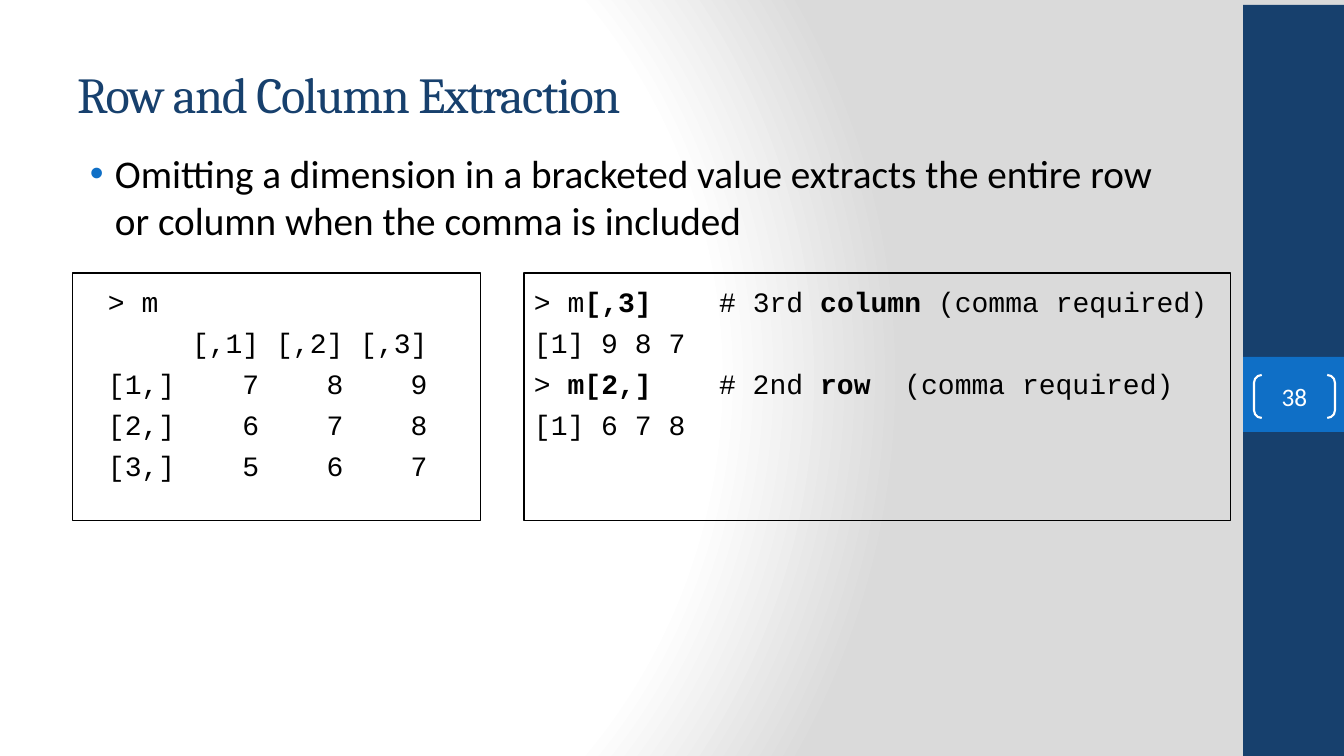
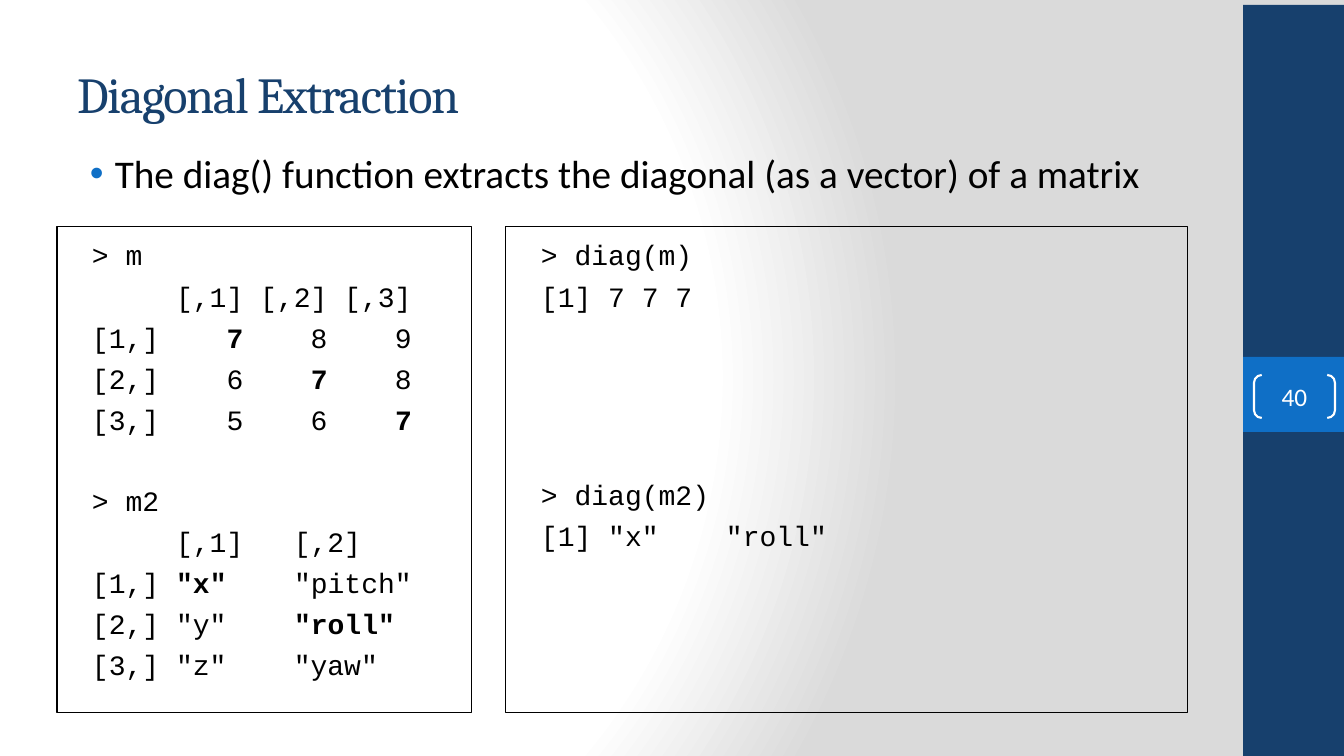
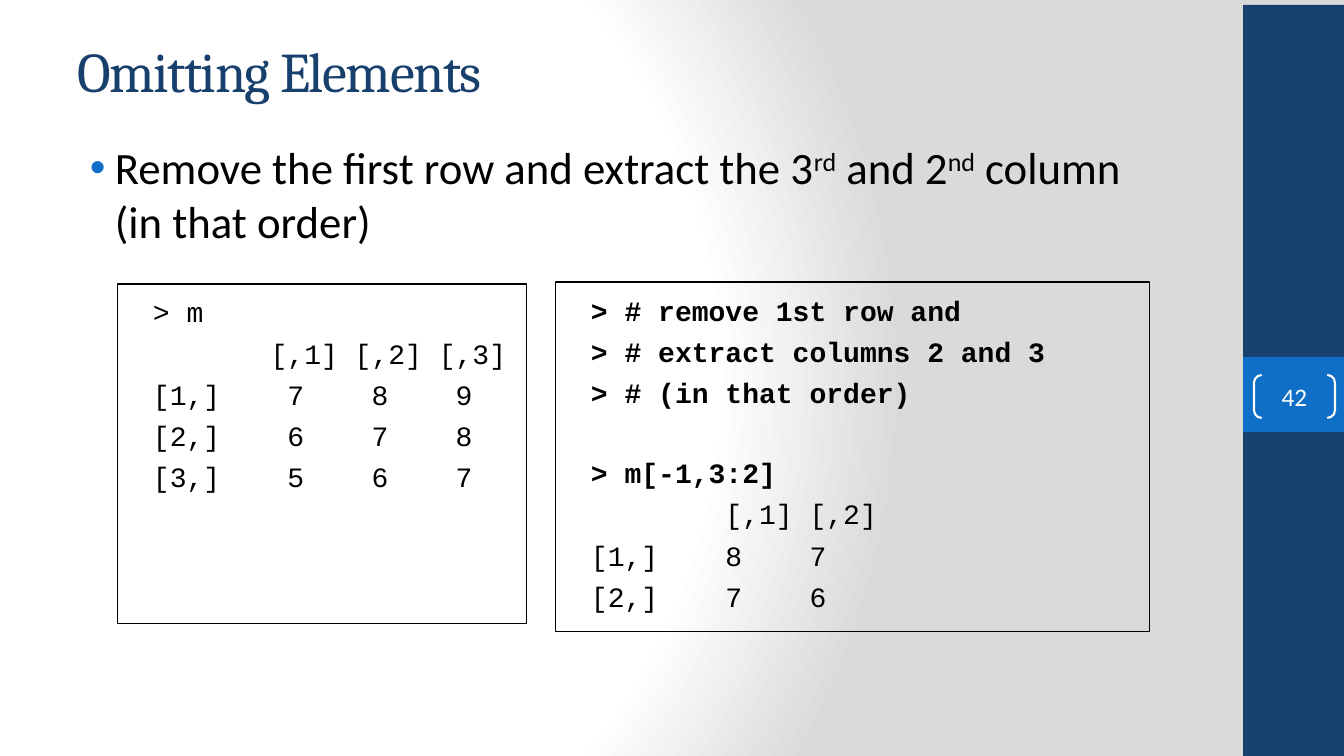
"""Build three slides on extracting rows, columns, diagonals and subsets of an R matrix."""
import pptx
import pptx.dml.color
import pptx.enum.shapes
import pptx.enum.text
import pptx.oxml
import pptx.oxml.ns
import pptx.util

RGBColor = pptx.dml.color.RGBColor
SHAPE = pptx.enum.shapes.MSO_SHAPE
ALIGN = pptx.enum.text.PP_ALIGN
ANCHOR = pptx.enum.text.MSO_ANCHOR
Pt = pptx.util.Pt

NAVY = RGBColor(0x17, 0x40, 0x6D)
BLUE = RGBColor(0x0F, 0x6F, 0xC6)
BLACK = RGBColor(0, 0, 0)
WHITE = RGBColor(0xFF, 0xFF, 0xFF)
EDGE_GRAY = RGBColor(0xDA, 0xDA, 0xDA)

EMU_PER_PX = 914400 / 100.8
SLIDE_SIZE = (1344, 756)
BANDS = [((1243, 5, 101, 751), NAVY), ((1243, 357, 101, 75), BLUE)]
NUMBER_BOX = (1254, 375, 81, 43)
CODE_PITCH = 28
CODE_GAP = 5.4
INDENTED = 35
FLUSH = 10

TITLE_FONT = {"name": "Cambria", "color": NAVY}
BODY_FONT = {"name": "Calibri", "color": BLACK}
CODE_FONT = {"name": "Courier New", "size": Pt(20), "color": BLACK}
NUMBER_FONT = {"name": "Calibri", "size": Pt(18), "color": WHITE}
BOLD = {"bold": True}

MATRIX = ["> m", "     [,1] [,2] [,3]", "[1,]    7    8    9",
          "[2,]    6    7    8", "[3,]    5    6    7"]

# Text between bars is emphasised: bold in code, raised in bullets.
SLIDES = [
    {
        "number": "38",
        "title": ("Row and Column Extraction", 36, (67, 30, 1120, 126)),
        "bullet": ("Omitting a dimension in a bracketed value extracts the entire row "
                   "or column when the comma is included", 28, (67, 141, 1120, 120)),
        "code": [
            ((73, 273, 408, 248), INDENTED, MATRIX),
            ((524, 273, 707, 248), FLUSH, [
                "> m|[,3]|    # 3rd |column |(comma required)",
                "[1] 9 8 7",
                "> |m[2,]|    # 2nd |row  |(comma required)",
                "[1] 6 7 8",
            ]),
        ],
    },
    {
        "number": "40",
        "title": ("Diagonal Extraction", 36, (67, 30, 1120, 126)),
        "bullet": ("The diag() function extracts the diagonal (as a vector) of a matrix",
                   28, (67, 141, 1120, 71)),
        "code": [
            ((57, 227, 415, 486), INDENTED, [
                "> m", "     [,1] [,2] [,3]", "[1,]    |7|    8    9",
                "[2,]    6    |7|    8", "[3,]    5    6    |7|",
                "",
                "> m2", "     [,1]   [,2]", "[1,] |\"x\"    |\"pitch\"",
                "[2,] \"y\"    |\"roll\"|", "[3,] \"z\"    \"yaw\"",
            ]),
            ((506, 227, 682, 486), INDENTED, [
                "> diag(m)", "[1] 7 7 7",
                "", "", "", "",
                "> diag(m2)", "[1] \"x\"    \"roll\"",
            ]),
        ],
    },
    {
        "number": "42",
        "title": ("Omitting Elements", 40, (67, 22, 1120, 97)),
        "bullet": ("Remove the first row and extract the 3|rd| and 2|nd| column (in that order)",
                   32, (67, 132, 1120, 132)),
        "code": [
            ((118, 284, 409, 340), INDENTED,
             [MATRIX[0], "       [,1] [,2] [,3]"] + MATRIX[2:]),
            ((556, 282, 594, 350), INDENTED, [
                "|> # remove 1st row and|", "|> # extract columns 2 and 3|",
                "|> # (in that order)|",
                "",
                "|> m[-1,3:2]|", "        [,1] [,2]", "[1,]    8    7", "[2,]    7    6",
            ]),
        ],
    },
]


def px(length):
    return round(length * EMU_PER_PX)


def place(box):
    return [px(length) for length in box]


def set_all(target, values):
    for name, value in values.items():
        setattr(target, name, value)


def format_font(font, values):
    for name, value in values.items():
        if name == "color":
            font.color.rgb = value
        else:
            setattr(font, name, value)


def add_runs(paragraph, text, font_values, emphasis=BOLD):
    for index, part in enumerate(text.split("|")):
        if part:
            run = paragraph.add_run()
            run.text = part
            format_font(run.font, font_values)
            if index % 2:
                if emphasis is BOLD:
                    format_font(run.font, BOLD)
                else:
                    run.font._element.set("baseline", emphasis)


def add_shape(slide, kind, box, fill=None, line=None, width=0.75):
    shape = slide.shapes.add_shape(kind, *place(box))
    shape.shadow.inherit = False
    if fill is None:
        shape.fill.background()
    else:
        shape.fill.solid()
        shape.fill.fore_color.rgb = fill
    if line is None:
        shape.line.fill.background()
    else:
        shape.line.color.rgb = line
        shape.line.width = Pt(width)
    return shape


def set_background(master):
    master.background.fill.solid()
    properties = master.element.xpath("p:cSld/p:bg/p:bgPr")[0]
    stops = "".join(
        f'<a:gs pos="{position}"><a:srgbClr val="{color}"/></a:gs>'
        for position, color in [(0, WHITE), (75000, WHITE), (100000, EDGE_GRAY)])
    gradient = pptx.oxml.parse_xml(
        f'<a:gradFill {pptx.oxml.ns.nsdecls("a")} rotWithShape="1"><a:gsLst>{stops}</a:gsLst>'
        '<a:path path="circle"><a:fillToRect l="20000" t="50000" r="100000" b="50000"/></a:path>'
        '</a:gradFill>')
    properties.replace(properties[0], gradient)


def move_bands_to_master(slide, master):
    for box, color in BANDS:
        band = add_shape(slide, SHAPE.RECTANGLE, box, fill=color)
        master.shapes._spTree.append(band._element)


def add_title(slide, text, size, box):
    title = slide.shapes.title
    set_all(title, dict(zip(("left", "top", "width", "height"), place(box))))
    set_all(title.text_frame, {"vertical_anchor": ANCHOR.MIDDLE, "word_wrap": True,
                               "auto_size": pptx.enum.text.MSO_AUTO_SIZE.NONE})
    paragraph = title.text_frame.paragraphs[0]
    paragraph.alignment = ALIGN.LEFT
    add_runs(paragraph, text, {**TITLE_FONT, "size": Pt(size)})
    paragraph.runs[0].font._element.set("spc", "-100")


def add_bullet(slide, text, size, box):
    frame = slide.shapes.add_textbox(*place(box)).text_frame
    set_all(frame, {"word_wrap": True, "margin_top": px(8)})
    paragraph = frame.paragraphs[0]
    properties = paragraph._p.get_or_add_pPr()
    properties.set("marL", str(px(38)))
    properties.set("indent", str(-px(25)))
    namespace = pptx.oxml.ns.nsdecls("a")
    for xml in (f'<a:buClr {namespace}><a:srgbClr val="{BLUE}"/></a:buClr>',
                f'<a:buFont {namespace} typeface="Arial"/>',
                f'<a:buChar {namespace} char="•"/>'):
        properties.append(pptx.oxml.parse_xml(xml))
    add_runs(paragraph, text, {**BODY_FONT, "size": Pt(size)}, emphasis="30000")


def add_number(slide, number):
    brackets = add_shape(slide, SHAPE.DOUBLE_BRACKET, NUMBER_BOX, line=WHITE, width=1.5)
    brackets.adjustments[0] = 0.18
    frame = brackets.text_frame
    set_all(frame, {"margin_left": 0, "margin_top": 0, "margin_right": 0,
                    "margin_bottom": 0, "vertical_anchor": ANCHOR.MIDDLE})
    frame.paragraphs[0].alignment = ALIGN.CENTER
    add_runs(frame.paragraphs[0], number, NUMBER_FONT)


def add_code(slide, box, inset, lines):
    frame = add_shape(slide, SHAPE.RECTANGLE, box, line=BLACK).text_frame
    set_all(frame, {"margin_left": px(inset), "margin_top": px(11),
                    "vertical_anchor": ANCHOR.TOP, "word_wrap": True})
    paragraph = frame.paragraphs[0]
    skipped = 0
    for index, line in enumerate(lines):
        if not line:
            skipped += 1
            continue
        if index:
            paragraph = frame.add_paragraph()
            paragraph.space_before = Pt(CODE_GAP + skipped * CODE_PITCH)
        paragraph.alignment = ALIGN.LEFT
        add_runs(paragraph, line, CODE_FONT)
        skipped = 0


def main():
    presentation = pptx.Presentation()
    presentation.slide_width, presentation.slide_height = place(SLIDE_SIZE)
    master = presentation.slide_master
    set_background(master)
    layout = presentation.slide_layouts.get_by_name("Title Only")
    for index, content in enumerate(SLIDES):
        slide = presentation.slides.add_slide(layout)
        if index == 0:
            move_bands_to_master(slide, master)
        add_title(slide, *content["title"])
        add_bullet(slide, *content["bullet"])
        add_number(slide, content["number"])
        for code_box in content["code"]:
            add_code(slide, *code_box)
    presentation.save("out.pptx")


if __name__ == "__main__":
    main()
